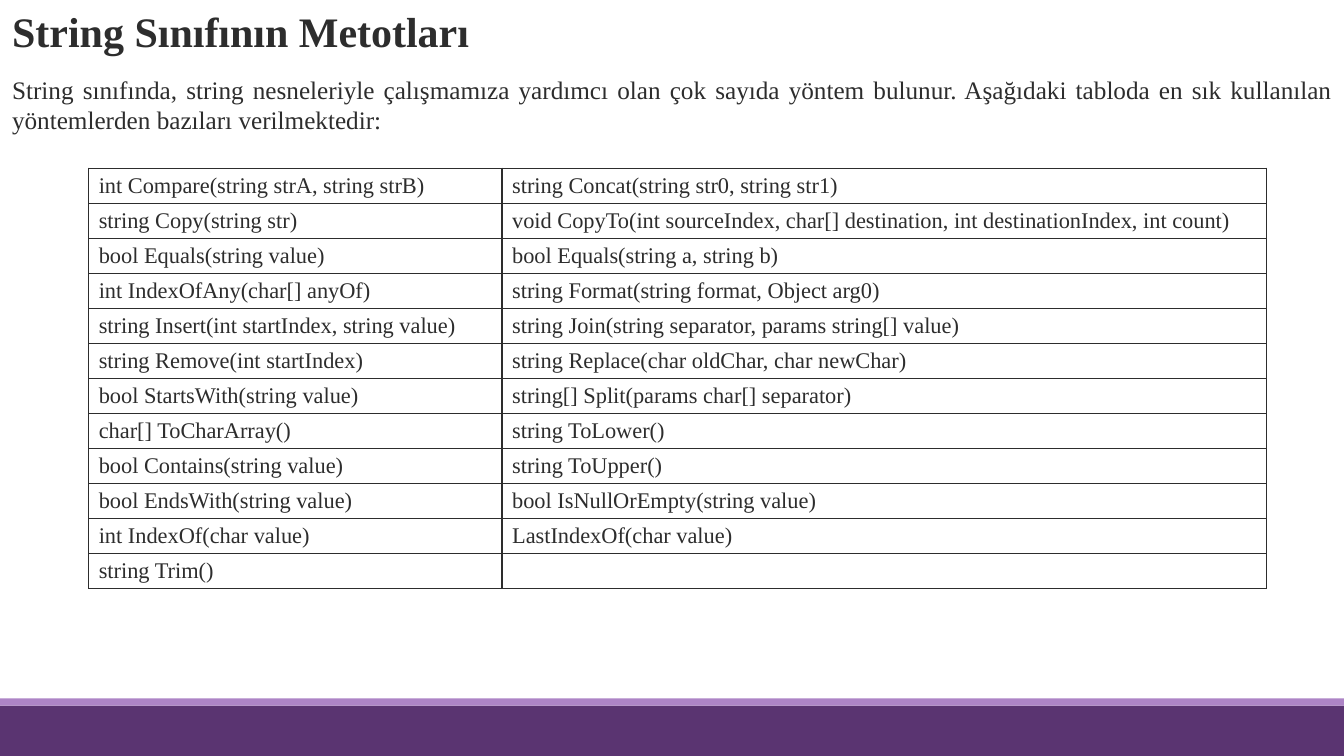
import pptx
import pptx.dml.color
import pptx.enum.shapes
import pptx.enum.text
import pptx.oxml
import pptx.oxml.ns
import pptx.util

COLORS = {"text": "2D2D2D", "footer": "5A3471", "accent": "AD84C6"}
FONT = "Times New Roman"
WIDTH, HEIGHT = pptx.util.Inches(13.33), pptx.util.Inches(7.5)
MARGIN = pptx.util.Inches(0.12)
TABLE_LEFT, TABLE_TOP = pptx.util.Inches(0.88), pptx.util.Inches(1.67)
COLUMN_WIDTHS = [pptx.util.Inches(4.1), pptx.util.Inches(7.58)]
TABLE_HEIGHT = pptx.util.Inches(4.17)

TITLE = "String Sınıfının Metotları"
INTRODUCTION = (
    "String sınıfında, string nesneleriyle çalışmamıza yardımcı olan çok sayıda yöntem "
    "bulunur. Aşağıdaki tabloda en sık kullanılan yöntemlerden bazıları verilmektedir:"
)
METHODS = [
    ("int Compare(string strA, string strB)", "string Concat(string str0, string str1)"),
    ("string Copy(string str)",
     "void CopyTo(int sourceIndex, char[] destination, int destinationIndex, int count)"),
    ("bool Equals(string value)", "bool Equals(string a, string b)"),
    ("int IndexOfAny(char[] anyOf)", "string Format(string format, Object arg0)"),
    ("string Insert(int startIndex, string value)",
     "string Join(string separator, params string[] value)"),
    ("string Remove(int startIndex)", "string Replace(char oldChar, char newChar)"),
    ("bool StartsWith(string value)", "string[] Split(params char[] separator)"),
    ("char[] ToCharArray()", "string ToLower()"),
    ("bool Contains(string value)", "string ToUpper()"),
    ("bool EndsWith(string value)", "bool IsNullOrEmpty(string value)"),
    ("int IndexOf(char value)", "LastIndexOf(char value)"),
    ("string Trim()", ""),
]


def rgb(name):
    return pptx.dml.color.RGBColor.from_string(COLORS[name])


def write_text(frame, text, size, bold=False, align=None, before=0, after=0, line=None):
    paragraph = frame.paragraphs[0]
    paragraph.alignment = align
    paragraph.space_before = pptx.util.Pt(before)
    paragraph.space_after = pptx.util.Pt(after)
    paragraph.line_spacing = line
    run = paragraph.add_run()
    run.text = text
    run.font.name = FONT
    run.font.size = pptx.util.Pt(size)
    run.font.bold = bold
    run.font.color.rgb = rgb("text")


def add_text_box(slide, text, top, width, height, anchor, **text_format):
    frame = slide.shapes.add_textbox(MARGIN, top, width, height).text_frame
    frame.word_wrap = True
    frame.vertical_anchor = anchor
    frame.margin_left = frame.margin_right = 0
    write_text(frame, text, before=12, after=2, **text_format)


def add_band(slide, top, height, color):
    """Add a full-width bar."""
    band = slide.shapes.add_shape(
        pptx.enum.shapes.MSO_SHAPE.RECTANGLE, 0, top, WIDTH, height)
    band.shadow.inherit = False
    band.fill.solid()
    band.fill.fore_color.rgb = rgb(color)
    band.line.fill.background()


def outline_cell(cell):
    properties = cell._tc.get_or_add_tcPr()
    for index, side in enumerate(("lnL", "lnR", "lnT", "lnB")):
        border = pptx.oxml.parse_xml(
            f'<a:{side} {pptx.oxml.ns.nsdecls("a")} w="{pptx.util.Pt(1)}"><a:solidFill>'
            f'<a:srgbClr val="{COLORS["text"]}"/></a:solidFill></a:{side}>')
        properties.insert(index, border)


def add_method_table(slide):
    table = slide.shapes.add_table(
        len(METHODS), len(COLUMN_WIDTHS), TABLE_LEFT, TABLE_TOP,
        sum(COLUMN_WIDTHS), TABLE_HEIGHT).table
    table.first_row = table.horz_banding = False
    for column, width in zip(table.columns, COLUMN_WIDTHS):
        column.width = width
    for row, signatures in enumerate(METHODS):
        for column, signature in enumerate(signatures):
            cell = table.cell(row, column)
            cell.fill.background()
            cell.vertical_anchor = pptx.enum.text.MSO_ANCHOR.MIDDLE
            cell.margin_top = cell.margin_bottom = pptx.util.Inches(0.02)
            outline_cell(cell)
            if signature:
                write_text(cell.text_frame, signature, size=16)


def main():
    presentation = pptx.Presentation()
    presentation.slide_width, presentation.slide_height = WIDTH, HEIGHT
    slide = presentation.slides.add_slide(presentation.slide_layouts[6])
    footer_height, accent_height = pptx.util.Inches(0.5), pptx.util.Inches(0.07)
    footer_top = HEIGHT - footer_height
    add_band(slide, footer_top, footer_height, "footer")
    add_band(slide, footer_top - accent_height, accent_height, "accent")
    add_text_box(slide, TITLE, 0, WIDTH - MARGIN, pptx.util.Inches(0.67),
                 pptx.enum.text.MSO_ANCHOR.MIDDLE, size=30, bold=True, line=0.9)
    add_text_box(slide, INTRODUCTION, pptx.util.Inches(0.69), pptx.util.Inches(13.1),
                 pptx.util.Inches(6.38), pptx.enum.text.MSO_ANCHOR.TOP, size=18,
                 align=pptx.enum.text.PP_ALIGN.JUSTIFY)
    add_method_table(slide)
    presentation.save("out.pptx")


if __name__ == "__main__":
    main()
